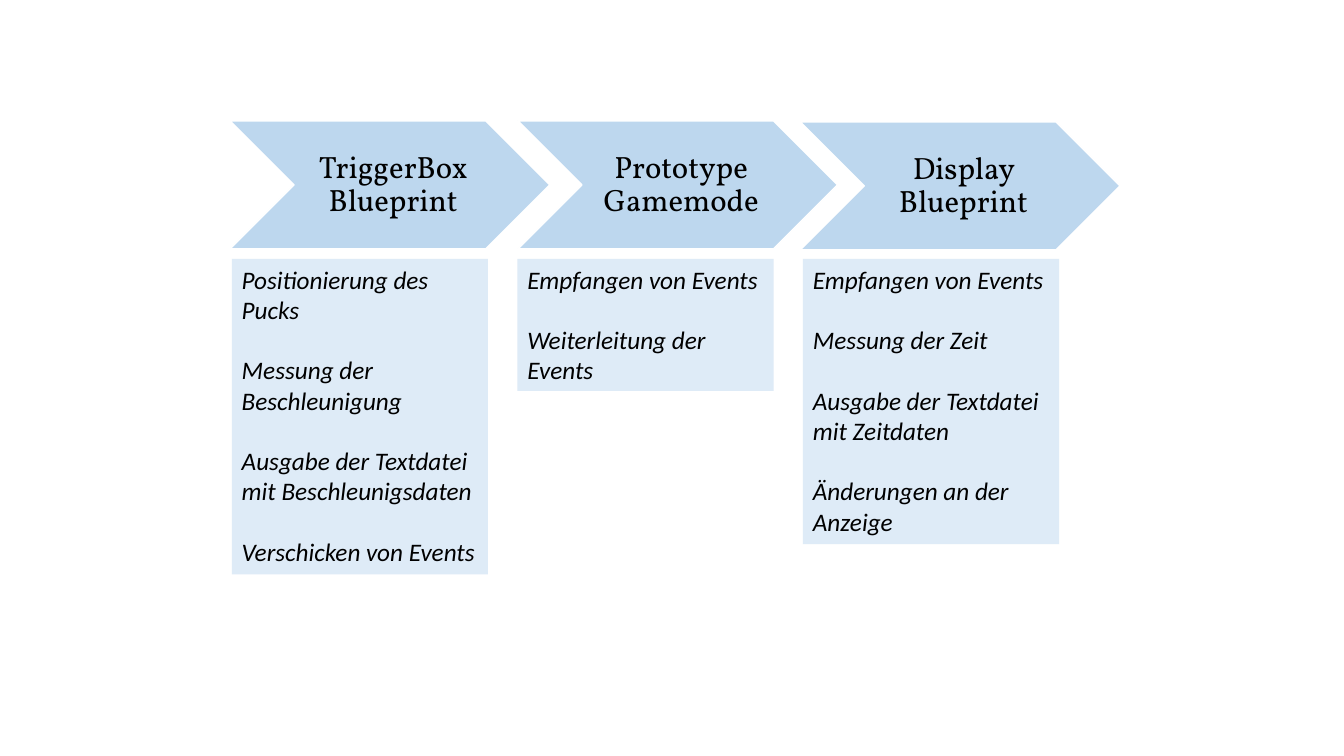
"""Build a slide with three chevron steps and their tasks."""
import pptx
import pptx.dml.color
import pptx.enum.shapes
import pptx.enum.text
import pptx.util

Pt = pptx.util.Pt
RGBColor = pptx.dml.color.RGBColor
Kind = pptx.enum.shapes.MSO_SHAPE
Align = pptx.enum.text.PP_ALIGN
Anchor = pptx.enum.text.MSO_ANCHOR
Fit = pptx.enum.text.MSO_AUTO_SIZE

BLUE = RGBColor(0xBD, 0xD7, 0xEE)
PALE = RGBColor(0xDE, 0xEB, 0xF7)
WHITE = RGBColor(0xFF, 0xFF, 0xFF)
BLACK = RGBColor(0, 0, 0)


def apply(item, style):
    """Set each attribute named in the style."""
    for name, value in style.items():
        setattr(item, name, value)


class Board:
    """Hold the slide and the styles of its elements."""

    head = {"font": {"name": "Vollkorn", "size": Pt(22)},
            "para": {"alignment": Align.CENTER, "line_spacing": 0.9},
            "frame": {"word_wrap": True, "vertical_anchor": Anchor.MIDDLE,
                      "margin_left": Pt(7), "margin_right": Pt(2.3),
                      "margin_top": Pt(2.3), "margin_bottom": Pt(2.3)}}
    body = {"font": {"name": "Calibri", "size": Pt(18), "italic": True},
            "para": {"alignment": Align.LEFT},
            "frame": {"word_wrap": True, "vertical_anchor": Anchor.TOP,
                      "auto_size": Fit.SHAPE_TO_FIT_TEXT}}

    def __init__(self, slide):
        """Keep the slide to draw on."""
        self.slide = slide

    def text(self, frame, lines, style, gap=0):
        """Fill a text frame, with a gap between paragraphs."""
        apply(frame, style["frame"])
        for i, line in enumerate(lines):
            para = frame.add_paragraph() if i else frame.paragraphs[0]
            apply(para, style["para"])
            para.space_before = Pt(gap if i else 0)
            run = para.add_run()
            run.text = line
            apply(run.font, style["font"])
            run.font.color.rgb = BLACK

    def shape(self, kind, area, fill):
        """Add a flat preset shape without a line."""
        shape = self.slide.shapes.add_shape(kind, *map(Pt, area))
        shape.shadow.inherit = False
        shape.fill.solid()
        shape.fill.fore_color.rgb = fill
        shape.line.fill.background()
        return shape

    def arrow(self, left, top, title):
        """Add a chevron with its heading."""
        wide, high = 228.3, 91.4
        arrow = self.shape(Kind.CHEVRON, (left, top, wide, high), BLUE)
        arrow.line.color.rgb = WHITE
        arrow.line.width = Pt(1)
        area = left + high / 2, top, wide * 0.6, high
        box = self.slide.shapes.add_textbox(*map(Pt, area))
        self.text(box.text_frame, [title], self.head)

    def card(self, left, high, tasks):
        """Add a box with a list of tasks."""
        card = self.shape(Kind.RECTANGLE, (left, 185, 183, high), PALE)
        self.text(card.text_frame, tasks, self.body, gap=21.6)


STEPS = [
    (164.4, 86.4, "TriggerBox Blueprint", 225.4,
     ["Positionierung des Pucks", "Messung der Beschleunigung",
      "Ausgabe der Textdatei mit Beschleunigsdaten",
      "Verschicken von Events"]),
    (370, 86.4, "Prototype Gamemode", 94.3,
     ["Empfangen von Events", "Weiterleitung der Events"]),
    (571.7, 87.1, "Display Blueprint", 203.8,
     ["Empfangen von Events", "Messung der Zeit",
      "Ausgabe der Textdatei mit Zeitdaten", "Änderungen an der Anzeige"]),
]


def main():
    """Draw the steps and save the deck."""
    deck = pptx.Presentation()
    deck.slide_width, deck.slide_height = Pt(960), Pt(540)
    board = Board(deck.slides.add_slide(deck.slide_layouts[6]))
    for i, (left, top, title, high, tasks) in enumerate(STEPS):
        board.arrow(left, top, title)
        board.card(165.6 + 204 * i, high, tasks)
    deck.save("out.pptx")


if __name__ == "__main__":
    main()
